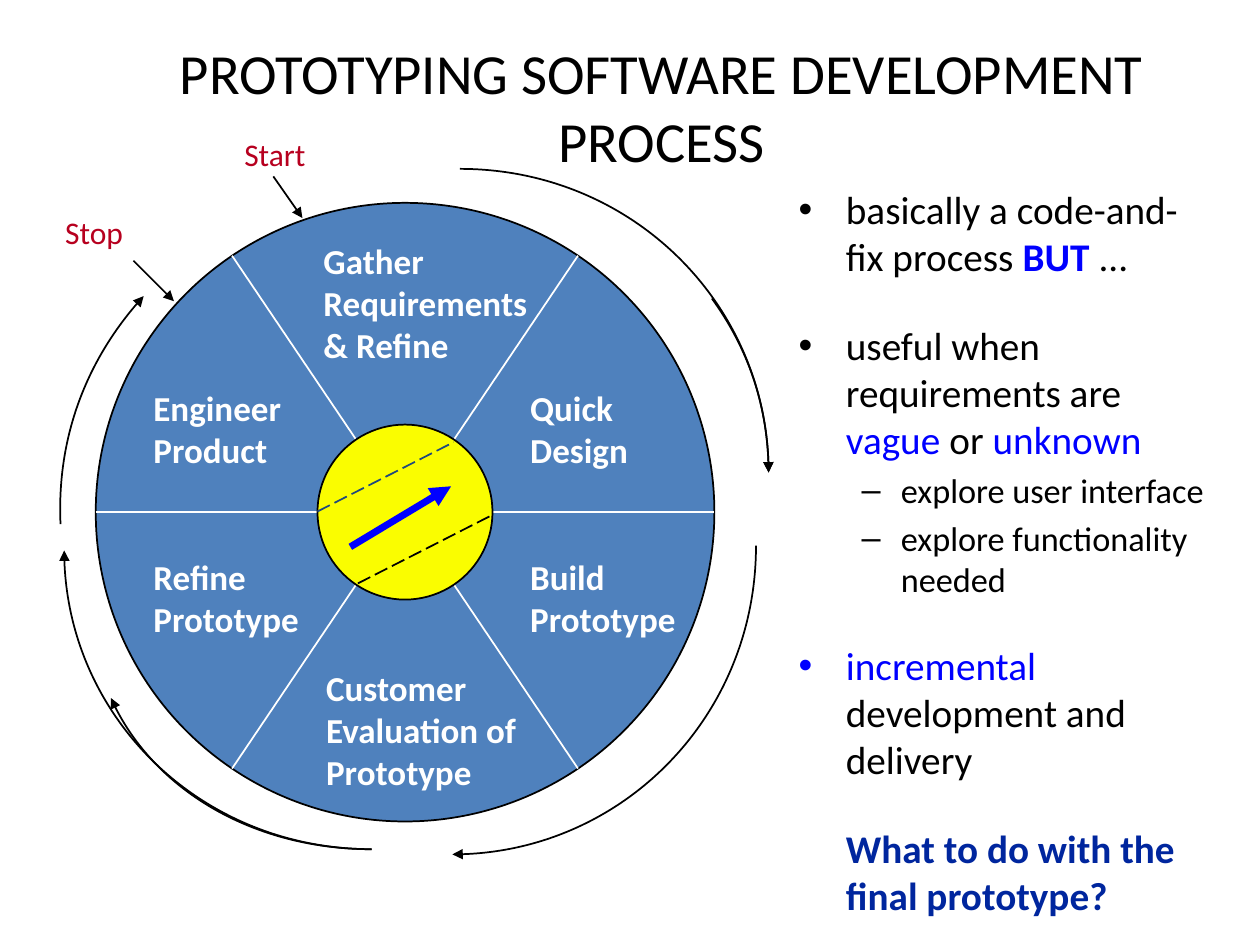
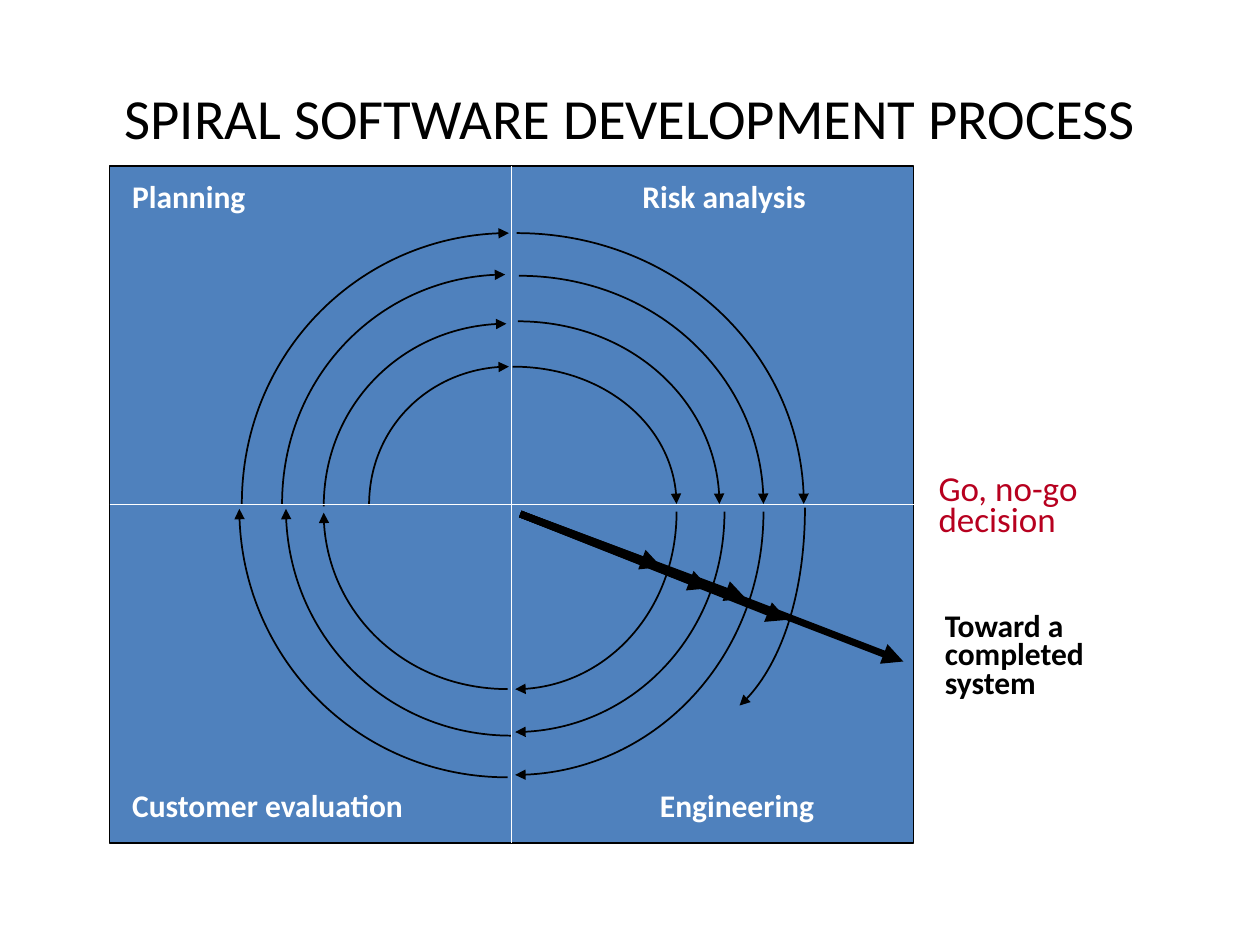
from lxml import etree
from math import cos, sin, radians
from pptx import Presentation
from pptx.dml.color import RGBColor
from pptx.enum.dml import MSO_LINE
from pptx.enum.shapes import MSO_CONNECTOR, MSO_SHAPE
from pptx.enum.text import MSO_ANCHOR, PP_ALIGN
from pptx.oxml.ns import qn
from pptx.util import Pt

INK = {"black": "000000", "white": "FFFFFF", "fill": "4F81BD", "hub": "FAFD00",
       "red": "B7001F", "blue": "0000FF", "navy": "00269E", "slate": "1F497D"}
FONT = "Calibri"
BEND = 0.55  # handle length of a quarter ellipse


def tint(name):
    return RGBColor.from_string(INK[name])


def mark(para, sign):
    """Give a paragraph a bullet sign."""
    props = para._p.get_or_add_pPr()
    etree.SubElement(props, qn("a:buFont")).set("typeface", "Arial")
    etree.SubElement(props, qn("a:buChar")).set("char", sign)


def write(para, text, size=18, color="black", bold=False):
    """Add one run in the given format."""
    run = para.add_run()
    run.text = text
    font = run.font
    font.name, font.size, font.bold = FONT, Pt(size), bold
    font.color.rgb = tint(color)


def frame(slide, x, y, w, h):
    box = slide.shapes.add_textbox(Pt(x), Pt(y), Pt(w), Pt(h))
    box.text_frame.word_wrap = True
    return box.text_frame


def label(slide, x, y, w, h, text, align=PP_ALIGN.LEFT,
          anchor=MSO_ANCHOR.TOP, gap=None, **style):
    """Place a text box with one paragraph for each line of text."""
    body = frame(slide, x, y, w, h)
    body.vertical_anchor = anchor
    for i, line in enumerate(text.split("\n")):
        para = body.add_paragraph() if i else body.paragraphs[0]
        para.alignment = align
        if gap:
            para.line_spacing = gap
        write(para, line, **style)


def title(slide, x, y, w, h, text):
    label(slide, x, y, w, h, text, align=PP_ALIGN.CENTER,
          anchor=MSO_ANCHOR.MIDDLE, size=32.4)


def stroke(shape, color, width=1, head=False):
    """Set the line of a shape, with or without an arrowhead."""
    shape.line.color.rgb = tint(color)
    shape.line.width = Pt(width)
    if head:
        tail = etree.SubElement(shape.line._get_or_add_ln(), qn("a:tailEnd"))
        tail.set("type", "triangle")


def solid(slide, kind, x, y, w, h, color):
    shape = slide.shapes.add_shape(kind, Pt(x), Pt(y), Pt(w), Pt(h))
    shape.shadow.inherit = False
    shape.fill.solid()
    shape.fill.fore_color.rgb = tint(color)
    stroke(shape, "black")


def line(slide, x, y, start, end, color="black", width=1, head=False, dash=False):
    """Draw a straight line; its ends are relative to x, y."""
    (a, b), (c, d) = start, end
    link = slide.shapes.add_connector(
        MSO_CONNECTOR.STRAIGHT, Pt(x + a), Pt(y + b), Pt(x + c), Pt(y + d))
    etree.SubElement(link._element.spPr, qn("a:effectLst"))
    if dash:
        link.line.dash_style = MSO_LINE.LONG_DASH
    stroke(link, color, width, head)


def arc(slide, x, y, start, end, bend=None):
    """Draw a clockwise arc with an arrowhead, a quarter ellipse by default."""
    if not bend:
        (a, b), (c, d) = start, end
        corner = (c, b) if (c - a) * (d - b) > 0 else (a, d)
        bend = [tuple(p + BEND * (q - p) for p, q in zip(point, corner))
                for point in (start, end)]
    points = [(Pt(x + a), Pt(y + b)) for a, b in (start, *bend, end)]
    build = slide.shapes.build_freeform(*points[0])
    build.add_line_segments(points[1:], close=False)
    shape = build.convert_to_shape()
    # Join the three straight parts into one curve
    track = next(shape._element.iter(qn("a:path")))
    curve = etree.Element(qn("a:cubicBezTo"))
    for part in track.findall(qn("a:lnTo")):
        curve.append(part[0])
        track.remove(part)
    track.append(curve)
    shape.shadow.inherit = False
    shape.fill.background()
    stroke(shape, "black", head=True)


def wheel(slide, x, y, size):
    """Draw the prototyping cycle with its hub, labels and outer arrows."""
    mid, hub = size / 2, 100
    solid(slide, MSO_SHAPE.OVAL, x, y, size, size, "fill")
    for angle in (0, 56, 124):
        dx, dy = mid * cos(radians(angle)), mid * sin(radians(angle))
        line(slide, x, y, (mid - dx, mid - dy), (mid + dx, mid + dy), "white")
    solid(slide, MSO_SHAPE.OVAL, x + mid - hub / 2, y + mid - hub / 2, hub, hub, "hub")
    for left, top, text in (
            (123.1, 17.3, "Gather\nRequirements\n& Refine"),
            (241.2, 101.5, "Quick\nDesign"),
            (241.2, 198, "Build\nPrototype"),
            (124.6, 261.4, "Customer\nEvaluation of\nPrototype"),
            (25.9, 198, "Refine\nPrototype"),
            (25.9, 101.5, "Engineer\nProduct")):
        high = 7 + 24 * len(text.split("\n"))
        label(slide, x + left, y + top, 136 if high > 60 else 102, high, text,
              size=20, color="white", bold=True)
    # Hub marks
    for a, b, color in ((126.7, 176.4, "slate"), (149.8, 217.5, "black")):
        line(slide, x, y, (a, b), (a + 77.8, b - 39.6), color, dash=True)
    line(slide, x, y, (145.5, 196.6), (203.1, 162), "blue", 4, head=True)
    # Entry and exit
    line(slide, x, y, (101.5, -15.1), (118.1, 8.7), head=True)
    line(slide, x, y, (21.6, 33.1), (44.7, 56.2), head=True)
    label(slide, x + 77.8, y - 42.5, 60, 36, "Start", color="red")
    label(slide, x - 24.5, y + 2.2, 58, 36, "Stop", color="red")
    # Outer arrows
    for way in (
            ((352.1, 54.7), (384.5, 154.1), ((373, 83.5), (384.5, 118.8))),
            ((157.7, 369.4), (-18, 198.7)),
            ((-20.1, 183.6), (27.4, 53.3), ((-22.3, 135.4), (-5, 88.6))),
            ((208.1, -19.4), (384.5, 154.1)),
            ((377.3, 195.9), (203.8, 372.3)),
            ((157.7, 369.4), (8.7, 283), ((91.5, 369.4), (31.7, 334.8)))):
        arc(slide, x, y, *way)


def notes(slide, x, y, w, h):
    """Write the bullet list; each run is its text, colour and weight."""
    body = frame(slide, x, y, w, h)
    items = (
        ("•", 4.5, [("basically a code-and-fix process ",), ("BUT", "blue", True), (" ...",)]),
        ("•", 24, [("useful when requirements are ",), ("vague", "blue"),
                   (" or ",), ("unknown", "blue")]),
        ("–", 4, [("explore user interface",)]),
        ("–", 4, [("explore functionality needed",)]),
        ("•", 24, [("incremental", "blue"), (" development and delivery",)]),
        ("", 24, [("What to do with the final prototype?", "navy", True)]))
    for i, (sign, space, runs) in enumerate(items):
        para = body.add_paragraph() if i else body.paragraphs[0]
        para.space_before = Pt(space)
        sub = sign == "–"
        props = para._p.get_or_add_pPr()
        props.set("marL", str(Pt(58.5 if sub else 27)))
        if sign:
            props.set("indent", str(-Pt(22.5 if sub else 27)))
            mark(para, sign)
        for run in runs:
            write(para, run[0], 19.6 if sub else 22.4, *run[1:])


def spiral(slide, x, y, w, h):
    """Draw the four quadrants, the turns and the way out."""
    solid(slide, MSO_SHAPE.RECTANGLE, x, y, w, h, "fill")
    # Turns, quadrant by quadrant
    for way in (
            # Risk analysis
            ((230.4, 114.5), (324, 193)), ((233.3, 88.6), (348.5, 193)),
            ((234, 62.6), (373.7, 193)), ((232.6, 38.2), (396.7, 193)),
            # Engineering
            ((324, 197.3), (231.8, 298.8)), ((351.4, 197.3), (231.8, 323.3)),
            ((373.7, 197.3), (231.8, 347.8)),
            ((397.4, 195.1), (360, 308.2), ((397.4, 244.1), (382.3, 288.7))),
            # Customer evaluation
            ((227.5, 298.8), (122.4, 198)), ((229.7, 325.4), (100.8, 195.8)),
            ((227.5, 349.2), (74.2, 195.8)),
            # Planning
            ((148.3, 193.7), (228.2, 114.5)), ((122.4, 194.4), (226.8, 90)),
            ((98.6, 193), (226.1, 61.9)), ((75.6, 193), (228.2, 38.2))):
        arc(slide, x, y, *way)
    # Quadrant names
    for left, top, wide, text in (
            (5.8, 2.9, 107, "Planning"), (297.4, 2.9, 148, "Risk analysis"),
            (5.8, 350.6, 228, "Customer evaluation"), (307.4, 350.6, 140, "Engineering")):
        label(slide, x + left, y + top, wide, 36, text, color="white", bold=True)
    # Axes
    line(slide, x, y, (w / 2, 0), (w / 2, h), "white")
    line(slide, x, y, (0, h / 2), (w, h / 2), "white")
    # Progress arrows
    for end in ((453.6, 283), (315.4, 229), (342.7, 241.2), (363.6, 247), (387.4, 259.2)):
        line(slide, x, y, (234.7, 198.7), end, width=4, head=True)
    # Side remarks
    label(slide, x + 466.6, y + 173.5, 110, 43, "Go, no-go\ndecision",
          gap=0.75, size=20, color="red")
    label(slide, x + 470.2, y + 252.7, 120, 72, "Toward a\ncompleted\nsystem",
          gap=0.75, bold=True)


deck = Presentation()
deck.slide_width, deck.slide_height = Pt(720), Pt(540)
first, second = (deck.slides.add_slide(deck.slide_layouts[6]) for _ in range(2))

title(first, 54, 48.2, 648, 24, "PROTOTYPING SOFTWARE DEVELOPMENT PROCESS")
wheel(first, 54.7, 115.9, 353.5)
notes(first, 449.3, 102.2, 247, 396)

title(second, 36, 21.6, 648, 90, "SPIRAL SOFTWARE DEVELOPMENT PROCESS")
spiral(second, 62.6, 95, 459.4, 386.6)

deck.save("out.pptx")
